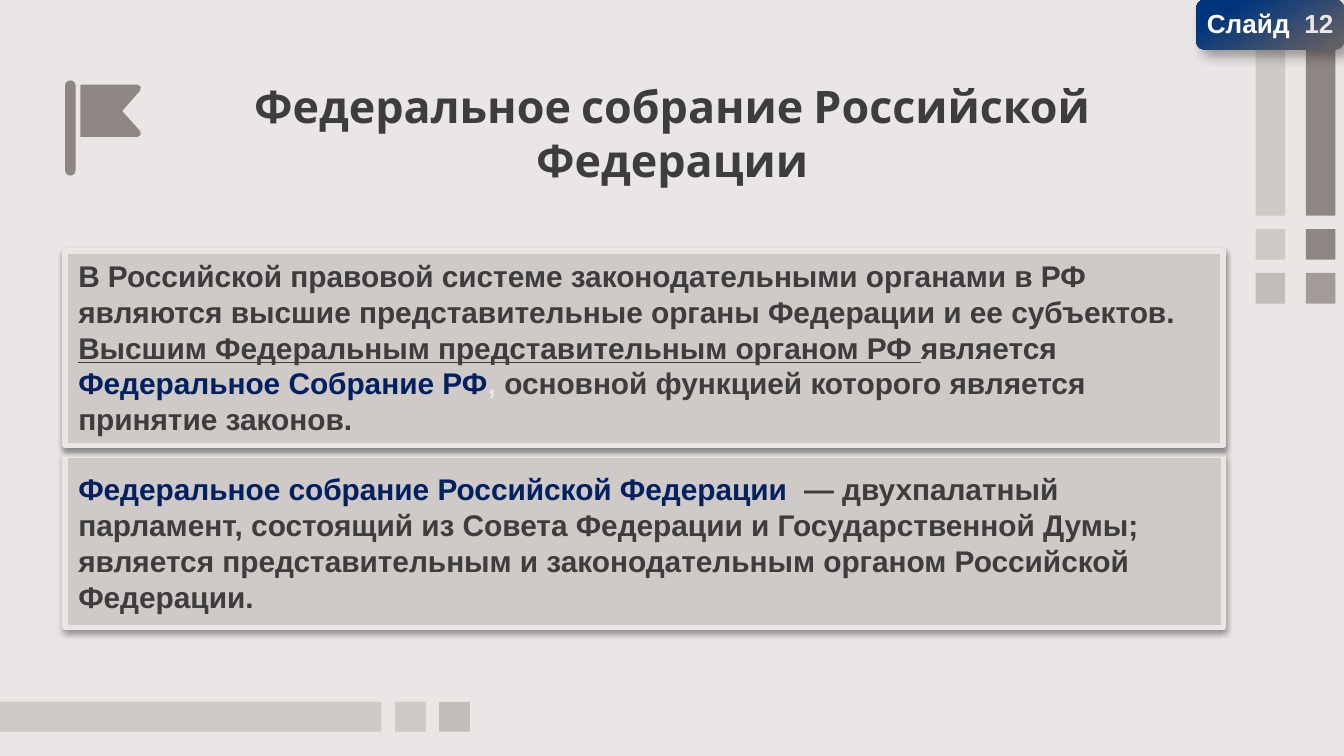
from lxml.etree import SubElement
from pptx import Presentation
from pptx.dml.color import RGBColor
from pptx.enum.shapes import MSO_SHAPE
from pptx.enum.text import MSO_ANCHOR, MSO_AUTO_SIZE, PP_ALIGN
from pptx.oxml.ns import qn
from pptx.util import Cm, Pt

BACKGROUND = RGBColor(0xE9, 0xE6, 0xE5)
PANEL = RGBColor(0xCF, 0xC9, 0xC7)
PANEL_DARK = RGBColor(0xC2, 0xBC, 0xBA)
TAUPE = RGBColor(0x8E, 0x86, 0x84)
TAUPE_LIGHT = RGBColor(0xA2, 0x9B, 0x99)
BADGE_BROWN = RGBColor(0x6B, 0x64, 0x62)
BADGE_BLUE = RGBColor(0x00, 0x34, 0x7C)
INK = RGBColor(0x3D, 0x3D, 0x3D)
NAVY = RGBColor(0x00, 0x20, 0x60)
WHITE = RGBColor(0xFF, 0xFF, 0xFF)


class SlideBuilder:
    def __init__(self, page, font="Arial"):
        self.page = page
        self.font = font
        page.background.fill.solid()
        page.background.fill.fore_color.rgb = BACKGROUND

    def place(self, shape, left, top, width, height):
        shape.left, shape.top = Cm(left), Cm(top)
        shape.width, shape.height = Cm(width), Cm(height)

    def paint(self, shape, color):
        shape.shadow.inherit = False
        shape.fill.solid()
        shape.fill.fore_color.rgb = color
        shape.line.fill.background()

    def block(self, left, top, width, height, color, kind=MSO_SHAPE.RECTANGLE):
        shape = self.page.shapes.add_shape(kind, Cm(left), Cm(top), Cm(width), Cm(height))
        self.paint(shape, color)
        return shape

    def outline(self, points, color):
        pen = self.page.shapes.build_freeform(Cm(points[0][0]), Cm(points[0][1]))
        pen.add_line_segments([(Cm(x), Cm(y)) for x, y in points[1:]])
        self.paint(pen.convert_to_shape(), color)

    def shadow(self, shape, blur, distance, angle, opacity):
        """Add an outer shadow: points, points, degrees, percent."""
        shape.shadow.inherit = False
        effects = shape._element.spPr.find(qn("a:effectLst"))
        outer = SubElement(effects, qn("a:outerShdw"), blurRad=str(Pt(blur)),
                           dist=str(Pt(distance)), dir=str(angle * 60000),
                           algn="ctr", rotWithShape="0")
        tone = SubElement(outer, qn("a:srgbClr"), val="000000")
        SubElement(tone, qn("a:alpha"), val=str(opacity * 1000))

    def panel(self, shape):
        self.paint(shape, PANEL)
        shape.line.color.rgb = BACKGROUND
        shape.line.width = Pt(3)
        self.shadow(shape, 3.1, 1.6, 90, 38)

    def text(self, shape, paragraphs, size, align=PP_ALIGN.LEFT,
             anchor=MSO_ANCHOR.TOP, inset=0.25, side=0.25, font=None, wrap=True):
        """Write paragraphs of (text, colour, underline) runs."""
        frame = shape.text_frame
        frame.word_wrap = wrap
        frame.auto_size = MSO_AUTO_SIZE.NONE
        frame.vertical_anchor = anchor
        frame.margin_top = frame.margin_bottom = Cm(inset)
        frame.margin_left = frame.margin_right = Cm(side)
        for index, runs in enumerate(paragraphs):
            para = frame.add_paragraph() if index else frame.paragraphs[0]
            para.alignment = align
            para.space_before = para.space_after = Pt(0)
            for words, color, underline in runs:
                span = para.add_run()
                span.text = words
                span.font.name = font or self.font
                span.font.size = Pt(size)
                span.font.bold = True
                span.font.underline = underline
                span.font.color.rgb = color


def main():
    deck = Presentation()
    deck.slide_width, deck.slide_height = Cm(25.4), Cm(14.29)
    page = deck.slides.add_slide(deck.slide_layouts[0])
    builder = SlideBuilder(page)

    # Striped corners
    columns = [(24.68, (TAUPE, TAUPE, TAUPE_LIGHT)), (23.73, (PANEL, PANEL, PANEL_DARK))]
    for left, colors in columns:
        for (top, height), color in zip([(0, 4.08), (4.33, 0.58), (5.16, 0.58)], colors):
            builder.block(left, top, 0.56, height, color)
    for left, width, color in [(0, 7.21, PANEL), (7.47, 0.58, PANEL), (8.3, 0.58, PANEL_DARK)]:
        builder.block(left, 13.27, width, 0.56, color)

    title = page.shapes.title
    builder.place(title, 2, 1.24, 21.41, 1.6)
    builder.text(title, [[("Федеральное собрание Российской Федерации", INK, False)]],
                 24, PP_ALIGN.CENTER, font="Cabin")

    parliament = page.placeholders[1]
    builder.place(parliament, 1.23, 8.61, 21.89, 3.25)
    builder.panel(parliament)
    builder.text(parliament, [[
        ("Федеральное собрание Российской Федерации  ", NAVY, False),
        ("— двухпалатный парламент, состоящий из Совета Федерации и Государственной Думы; "
         "является представительным и законодательным органом Российской Федерации.", INK, False),
    ]], 16, anchor=MSO_ANCHOR.BOTTOM)

    legislature = builder.block(1.23, 4.74, 21.89, 3.68, PANEL)
    builder.panel(legislature)
    builder.text(legislature, [
        [("В Российской правовой системе законодательными органами в РФ являются "
          "высшие представительные органы Федерации и ее субъектов.", INK, False)],
        [("Высшим Федеральным представительным органом РФ ", INK, True),
         ("является ", INK, False),
         ("Федеральное Собрание РФ", NAVY, False),
         (", ", BACKGROUND, False),
         ("основной функцией которого является принятие законов.", INK, False)],
    ], 16, inset=0.13)

    # Flag
    pole = builder.block(1.23, 1.52, 0.2, 1.8, TAUPE, MSO_SHAPE.ROUNDED_RECTANGLE)
    pole.adjustments[0] = 0.5
    builder.outline([(1.52, 1.6), (1.52, 2.59), (2.6, 2.59), (2.66, 2.55), (2.65, 2.48),
                     (2.31, 2.1), (2.65, 1.71), (2.66, 1.64), (2.6, 1.6)], TAUPE)

    # Slide number badge
    badge = builder.block(22.61, 0, 2.79, 0.94, BADGE_BLUE, MSO_SHAPE.ROUNDED_RECTANGLE)
    badge.fill.gradient()
    badge.fill.gradient_angle = 120
    for stop, position, color in zip(badge.fill.gradient_stops, (0, 0.8),
                                     (BADGE_BROWN, BADGE_BLUE)):
        stop.position = position
        stop.color.rgb = color
    builder.shadow(badge, 7, 5, 50, 35)
    label = page.shapes.add_textbox(Cm(22.66), Cm(0.05), Cm(2.69), Cm(0.84))
    builder.text(label, [[("Слайд  ", WHITE, False), ("12", BACKGROUND, False)]], 14,
                 PP_ALIGN.CENTER, MSO_ANCHOR.MIDDLE, inset=0.15, side=0.1, wrap=False)
    label.text_frame.paragraphs[0].line_spacing = 0.9

    deck.save("out.pptx")


if __name__ == "__main__":
    main()
